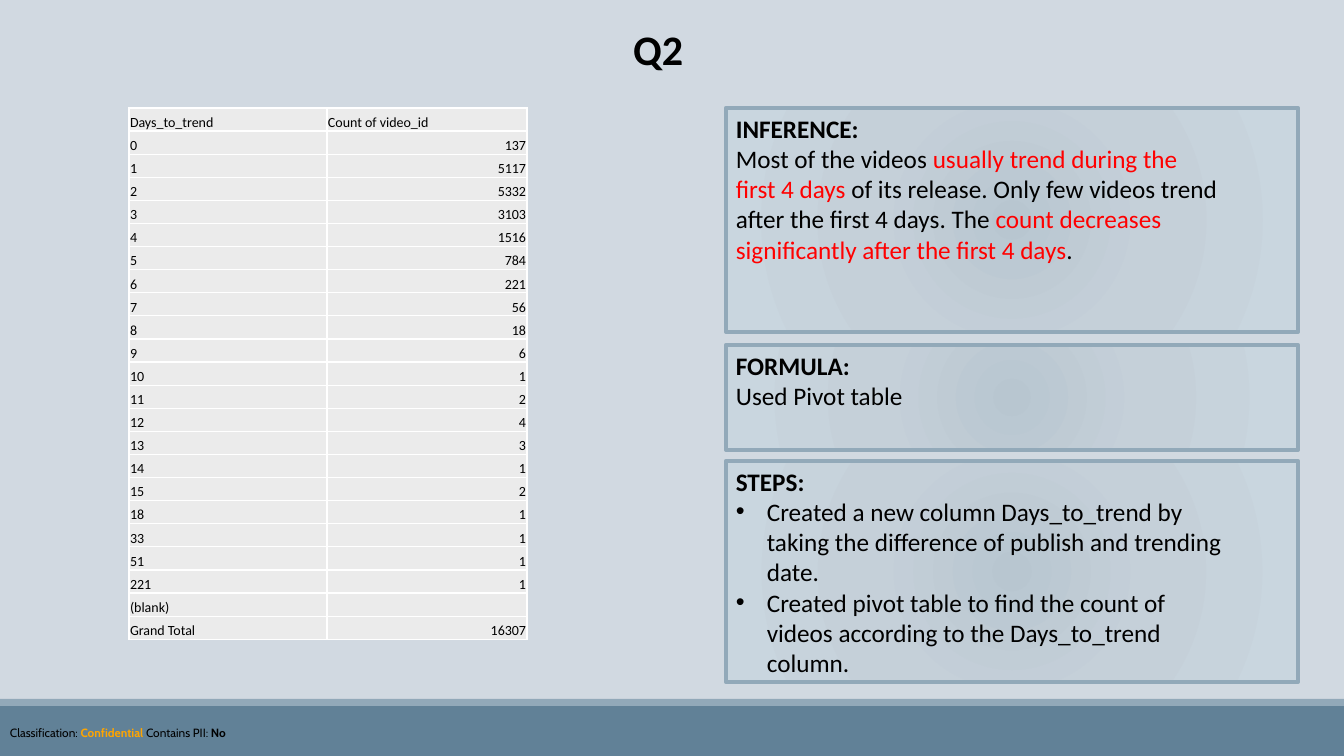
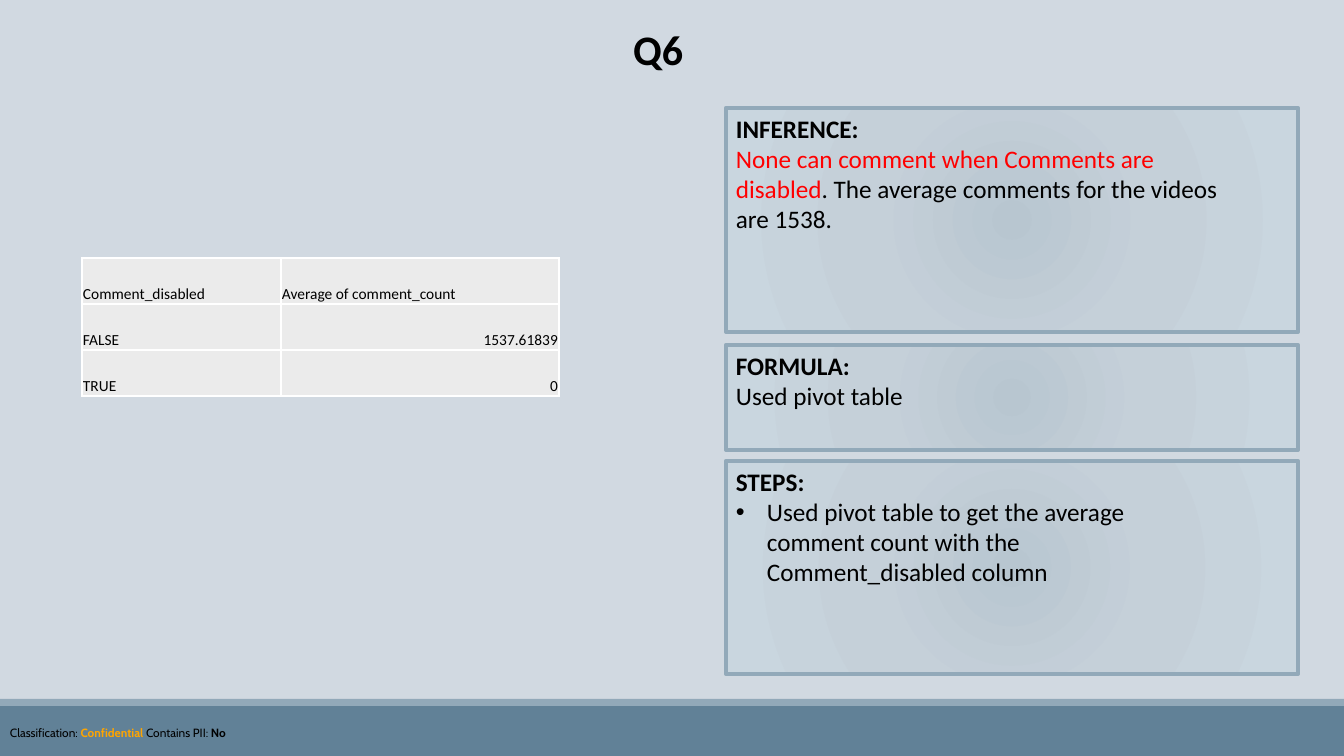
from dataclasses import dataclass

from lxml.etree import SubElement
from pptx import Presentation
from pptx.dml.color import RGBColor
from pptx.enum.shapes import MSO_SHAPE as Preset
from pptx.enum.text import MSO_ANCHOR as Anchor, MSO_AUTO_SIZE as AutoSize, PP_ALIGN as Align
from pptx.oxml import parse_xml
from pptx.oxml.ns import nsdecls, qn
from pptx.slide import Slide, SlideLayout
from pptx.util import Emu, Pt

# Colours and fonts
BLACK = RGBColor(0x00, 0x00, 0x00)
WHITE = RGBColor(0xFF, 0xFF, 0xFF)
RED = RGBColor(0xFF, 0x00, 0x00)
ORANGE = RGBColor(0xFF, 0xA5, 0x00)
BACKDROP = RGBColor(0xD1, 0xD9, 0xE1)
BAND = RGBColor(0x61, 0x81, 0x97)
EDGE = RGBColor(0x92, 0xA9, 0xB9)
CELL = RGBColor(0xEB, 0xEB, 0xEB)
PANEL_STOPS = (
    (0, RGBColor(0xB8, 0xC6, 0xD0)),
    (45, RGBColor(0xC5, 0xD0, 0xD9)),
    (100, RGBColor(0xC9, 0xD6, 0xDF)),
)
BODY_FONT = "Calibri"
FOOTER_FONT = "Cabin"

# Lengths in px
PX_PER_INCH = 100.8
PAGE_WIDTH, PAGE_HEIGHT = 1344, 756
PANEL_LEFT, PANEL_WIDTH, PANEL_TEXT_WIDTH = 726, 572, 506
BULLET_INDENT = 31


def px(length: int) -> Emu:
    return Emu(round(length * 914400 / PX_PER_INCH))


@dataclass(frozen=True)
class Box:
    left: int
    top: int
    width: int
    height: int

    def emu(self) -> tuple[Emu, ...]:
        return px(self.left), px(self.top), px(self.width), px(self.height)


@dataclass(frozen=True)
class Span:
    text: str
    color: RGBColor = BLACK
    bold: bool = False


@dataclass(frozen=True)
class Para:
    spans: tuple[Span, ...]
    bullet: bool = False


@dataclass(frozen=True)
class Panel:
    heading: str
    top: int
    height: int
    text_height: int
    paras: tuple[Para, ...]


@dataclass(frozen=True)
class Grid:
    box: Box
    columns: tuple[int, ...]
    size: int
    rows: tuple[tuple[str, str], ...]


@dataclass(frozen=True)
class Question:
    title: str
    panels: tuple[Panel, ...]
    grid: Grid


def inference(text_height: int, *spans: Span) -> Panel:
    return Panel("INFERENCE:", 108, 224, text_height, (Para(spans),))


def formula(text: str) -> Panel:
    return Panel("FORMULA:", 345, 105, 72, (Para((Span(text),)),))


def steps(height: int, text_height: int, *texts: str) -> Panel:
    paras = tuple(Para((Span(text),), bullet=True) for text in texts)
    return Panel("STEPS:", 461, height, text_height, paras)


# Content
FOOTER = Para((
    Span("Classification: "),
    Span("Confidential", ORANGE, True),
    Span(" Contains PII: "),
    Span("No", bold=True),
))

QUESTIONS = (
    Question(
        "Q2",
        (
            inference(
                163,
                Span("Most of the videos "),
                Span("usually trend during the first 4 days", RED),
                Span(" of its release. Only few videos trend after the first 4 days. The "),
                Span("count decreases significantly after the first 4 days", RED),
                Span("."),
            ),
            formula("Used Pivot table"),
            steps(
                221, 254,
                "Created a new column Days_to_trend by taking the difference of "
                "publish and trending date.",
                "Created pivot table to find the count of videos according to the "
                "Days_to_trend column.",
            ),
        ),
        Grid(Box(129, 108, 398, 532), (198, 200), 10, (
            ("Days_to_trend", "Count of video_id"),
            ("0", "137"), ("1", "5117"), ("2", "5332"), ("3", "3103"),
            ("4", "1516"), ("5", "784"), ("6", "221"), ("7", "56"),
            ("8", "18"), ("9", "6"), ("10", "1"), ("11", "2"),
            ("12", "4"), ("13", "3"), ("14", "1"), ("15", "2"),
            ("18", "1"), ("33", "1"), ("51", "1"), ("221", "1"),
            ("(blank)", ""), ("Grand Total", "16307"),
        )),
    ),
    Question(
        "Q6",
        (
            inference(
                132,
                Span("None can comment when Comments are disabled", RED),
                Span(". The average comments for the videos are 1538."),
            ),
            formula("Used pivot table"),
            steps(
                213, 163,
                "Used pivot table to get the average comment count with the "
                "Comment_disabled column",
            ),
        ),
        Grid(Box(82, 258, 477, 138), (199, 278), 11, (
            ("Comment_disabled", "Average of comment_count"),
            ("FALSE", "1537.61839"),
            ("TRUE", "0"),
        )),
    ),
)


# Text
def add_span(para, span: Span, size: float, font: str = BODY_FONT) -> None:
    run = para.add_run()
    run.text = span.text
    run.font.size = Pt(size)
    run.font.name = font
    run.font.bold = span.bold
    run.font.color.rgb = span.color


def add_bullet(para) -> None:
    properties = para._p.get_or_add_pPr()
    properties.set("marL", str(px(BULLET_INDENT)))
    properties.set("indent", str(-px(BULLET_INDENT)))
    SubElement(properties, qn("a:buFont"), typeface="Arial")
    SubElement(properties, qn("a:buChar"), char="•")


def add_text(page: Slide, box: Box, paras: tuple[Para, ...], size: float,
             font: str = BODY_FONT):
    text_box = page.shapes.add_textbox(*box.emu())
    frame = text_box.text_frame
    frame.word_wrap = True
    frame.auto_size = AutoSize.SHAPE_TO_FIT_TEXT
    for index, item in enumerate(paras):
        para = frame.add_paragraph() if index else frame.paragraphs[0]
        if item.bullet:
            add_bullet(para)
        for span in item.spans:
            add_span(para, span, size, font)
    return text_box


# Shapes
def add_rectangle(page: Slide, box: Box):
    shape = page.shapes.add_shape(Preset.RECTANGLE, *box.emu())
    shape.shadow.inherit = False
    return shape


def add_band(page: Slide, box: Box, color: RGBColor):
    band = add_rectangle(page, box)
    band.fill.solid()
    band.fill.fore_color.rgb = color
    band.line.fill.background()
    return band


def add_panel(page: Slide, panel: Panel) -> None:
    frame = add_rectangle(page, Box(PANEL_LEFT, panel.top, PANEL_WIDTH, panel.height))
    stops = "".join(
        f'<a:gs pos="{percent * 1000}"><a:srgbClr val="{color}"/></a:gs>'
        for percent, color in PANEL_STOPS
    )
    gradient = parse_xml(
        f'<a:gradFill {nsdecls("a")} rotWithShape="1"><a:gsLst>{stops}</a:gsLst>'
        '<a:path path="circle">'
        '<a:fillToRect l="100000" t="100000" r="100000" b="100000"/>'
        "</a:path></a:gradFill>"
    )
    properties = frame.element.spPr
    properties.find(qn("a:prstGeom")).addnext(gradient)
    frame.line.color.rgb = EDGE
    frame.line.width = Pt(3)
    heading = Para((Span(panel.heading, bold=True),))
    text_area = Box(PANEL_LEFT, panel.top, PANEL_TEXT_WIDTH, panel.text_height)
    add_text(page, text_area, (heading, *panel.paras), 18)


# Table
def add_borders(cell) -> None:
    properties = cell._tc.get_or_add_tcPr()
    for side in ("lnL", "lnR", "lnT", "lnB"):
        line = SubElement(properties, qn(f"a:{side}"), w=str(Pt(1)))
        fill = SubElement(line, qn("a:solidFill"))
        SubElement(fill, qn("a:srgbClr"), val=str(WHITE))


def fill_cell(cell, text: str, size: int, align: Align) -> None:
    add_borders(cell)
    cell.fill.solid()
    cell.fill.fore_color.rgb = CELL
    cell.vertical_anchor = Anchor.BOTTOM
    cell.margin_left = cell.margin_right = cell.margin_top = px(1)
    cell.margin_bottom = 0
    para = cell.text_frame.paragraphs[0]
    para.alignment = align
    if text:
        add_span(para, Span(text), size)
    else:
        SubElement(para._p, qn("a:endParaRPr"), sz=str(size * 100))


def add_grid(page: Slide, grid: Grid) -> None:
    shape = page.shapes.add_table(len(grid.rows), len(grid.columns), *grid.box.emu())
    table = shape.table
    table.first_row = table.horz_banding = False
    for column, width in zip(table.columns, grid.columns):
        column.width = px(width)
    for row_index, texts in enumerate(grid.rows):
        table.rows[row_index].height = px(grid.box.height) // len(grid.rows)
        for column_index, text in enumerate(texts):
            align = Align.RIGHT if row_index and column_index else Align.LEFT
            fill_cell(table.cell(row_index, column_index), text, grid.size, align)


# Page parts
def add_title(page: Slide, text: str) -> None:
    title = page.shapes.title
    title.left, title.top, title.width, title.height = Box(623, 18, 377, 61).emu()
    frame = title.text_frame
    frame.word_wrap = True
    frame.auto_size = AutoSize.SHAPE_TO_FIT_TEXT
    frame.vertical_anchor = Anchor.TOP
    frame.paragraphs[0].alignment = Align.LEFT
    add_span(frame.paragraphs[0], Span(text, bold=True), 30)


def move_footer_to_layout(page: Slide, layout: SlideLayout) -> None:
    for placeholder in list(layout.placeholders):
        if placeholder.placeholder_format.idx:
            placeholder.element.getparent().remove(placeholder.element)
    parts = (
        add_band(page, Box(0, 706, PAGE_WIDTH, 50), BAND),
        add_band(page, Box(0, 699, PAGE_WIDTH, 7), EDGE),
        add_text(page, Box(0, 721, PAGE_WIDTH, 24), (FOOTER,), 8.5, FOOTER_FONT),
    )
    for part in parts:
        layout.shapes.element.append(part.element)


def main() -> None:
    deck = Presentation()
    deck.slide_width, deck.slide_height = px(PAGE_WIDTH), px(PAGE_HEIGHT)
    layout = deck.slide_layouts[5]
    backdrop = deck.slide_master.background.fill
    backdrop.solid()
    backdrop.fore_color.rgb = BACKDROP
    for index, question in enumerate(QUESTIONS):
        page = deck.slides.add_slide(layout)
        if index == 0:
            move_footer_to_layout(page, layout)
        add_title(page, question.title)
        for panel in question.panels:
            add_panel(page, panel)
        add_grid(page, question.grid)
    deck.save("out.pptx")


if __name__ == "__main__":
    main()
